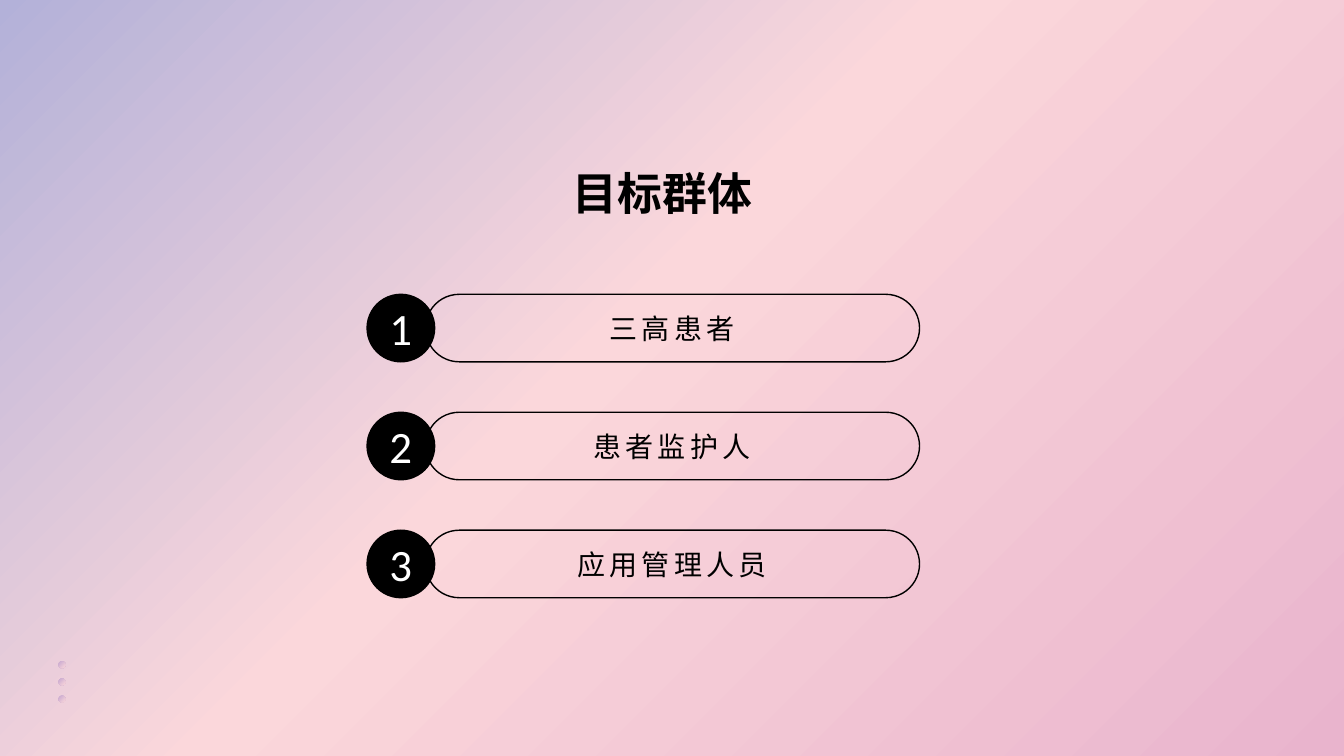
from copy import deepcopy

from lxml.etree import SubElement
from pptx import Presentation
from pptx.dml.color import RGBColor
from pptx.enum.shapes import MSO_SHAPE
from pptx.enum.text import MSO_ANCHOR, PP_ALIGN
from pptx.oxml.ns import qn
from pptx.util import Inches, Pt

WIDTH, HEIGHT = Inches(13.33), Inches(7.5)
CJK_FONT = "Noto Sans CJK JP"
AUDIENCES = ["三高患者", "患者监护人", "应用管理人员"]
FIRST_ROW, ROW_PITCH, ROW_HEIGHT = 38.93, 15.6, 8.93
FIRST_DOT, DOT_PITCH = 87.47, 2.27

TITLE = {"size": Pt(32), "name": CJK_FONT, "bold": True}
LABEL = {"size": Pt(20), "name": "Arial"}
NUMBER = {"size": Pt(32), "name": "Calibri"}
FLUSH = {"margin_left": 0, "margin_right": 0, "margin_top": 0, "margin_bottom": 0,
         "vertical_anchor": MSO_ANCHOR.TOP, "word_wrap": False}


def set_attrs(target, values):
    for name, value in values.items():
        setattr(target, name, value)


def paint(color_format, color):
    color_format.rgb = RGBColor.from_string(color)


def share(x, y, w, h):
    return [round(pct * side / 100)
            for pct, side in zip((x, y, w, h), (WIDTH, HEIGHT, WIDTH, HEIGHT))]


def gradient(fill, element, stops):
    fill.gradient()
    fill.gradient_angle = 315
    stop_list = next(element.iter(qn("a:gsLst")))
    while len(stop_list) < len(stops):
        stop_list.append(deepcopy(stop_list[-1]))
    for stop, (position, color) in zip(fill.gradient_stops, stops):
        stop.position = position
        paint(stop.color, color)


def write(tf, text, font, color, align, spacing=0):
    p = tf.paragraphs[0]
    p.alignment = align
    r = p.add_run()
    r.text = text
    set_attrs(r.font, font)
    paint(r.font.color, color)
    rPr = r.font._element if hasattr(r.font, "_element") else r._r.get_or_add_rPr()
    SubElement(rPr, qn("a:ea")).set("typeface", CJK_FONT)
    if spacing:
        rPr.set("spc", str(spacing * 100))


def add_shape(shapes, kind, box, fill=None, line=None):
    sp = shapes.add_shape(kind, *share(*box))
    sp.shadow.inherit = False
    if fill:
        sp.fill.solid()
        paint(sp.fill.fore_color, fill)
    else:
        sp.fill.background()
    if line:
        paint(sp.line.color, line)
        sp.line.width = Pt(1)
    else:
        sp.line.fill.background()
    return sp


def add_title(s, text):
    title = s.shapes.title
    set_attrs(title, dict(zip(("left", "top", "width", "height"),
                              share(42.61, 21.87, 14.78, 7.2))))
    set_attrs(title.text_frame, FLUSH)
    write(title.text_frame, text, TITLE, "000000", PP_ALIGN.LEFT)


def add_dots(s, count):
    shapes = s.shapes.add_group_shape().shapes
    for i in range(count):
        dot = add_shape(shapes, MSO_SHAPE.OVAL,
                        (4.35, FIRST_DOT + i * DOT_PITCH, 0.53, 0.93))
        gradient(dot.fill, dot.element, [(0, "C6A7D0"), (1, "FBD7DB")])


def add_audience(s, row, text):
    top = FIRST_ROW + row * ROW_PITCH
    shapes = s.shapes.add_group_shape().shapes
    label = shapes.add_textbox(*share(41.41, top + 1.6, 17.18, 5.87))
    label.text_frame.word_wrap = True
    write(label.text_frame, text, LABEL, "000000", PP_ALIGN.CENTER, spacing=3)
    pill = add_shape(shapes, MSO_SHAPE.ROUNDED_RECTANGLE,
                     (31.66, top, 36.76, ROW_HEIGHT), line="000000")
    pill.adjustments[0] = 0.5
    badge = add_shape(shapes, MSO_SHAPE.OVAL, (27.31, top, 5.03, ROW_HEIGHT),
                      fill="000000", line="000000")
    badge.text_frame.vertical_anchor = MSO_ANCHOR.MIDDLE
    write(badge.text_frame, str(row + 1), NUMBER, "FFFFFF", PP_ALIGN.CENTER)


def main():
    prs = Presentation()
    set_attrs(prs, {"slide_width": WIDTH, "slide_height": HEIGHT})
    s = prs.slides.add_slide(prs.slide_layouts[5])
    gradient(s.background.fill, s.element,
             [(0, "B3B1D9"), (0.45, "FBD7DB"), (1, "E9B4CD")])
    add_dots(s, 3)
    add_title(s, "目标群体")
    for row, text in enumerate(AUDIENCES):
        add_audience(s, row, text)
    prs.save("out.pptx")


if __name__ == "__main__":
    main()
